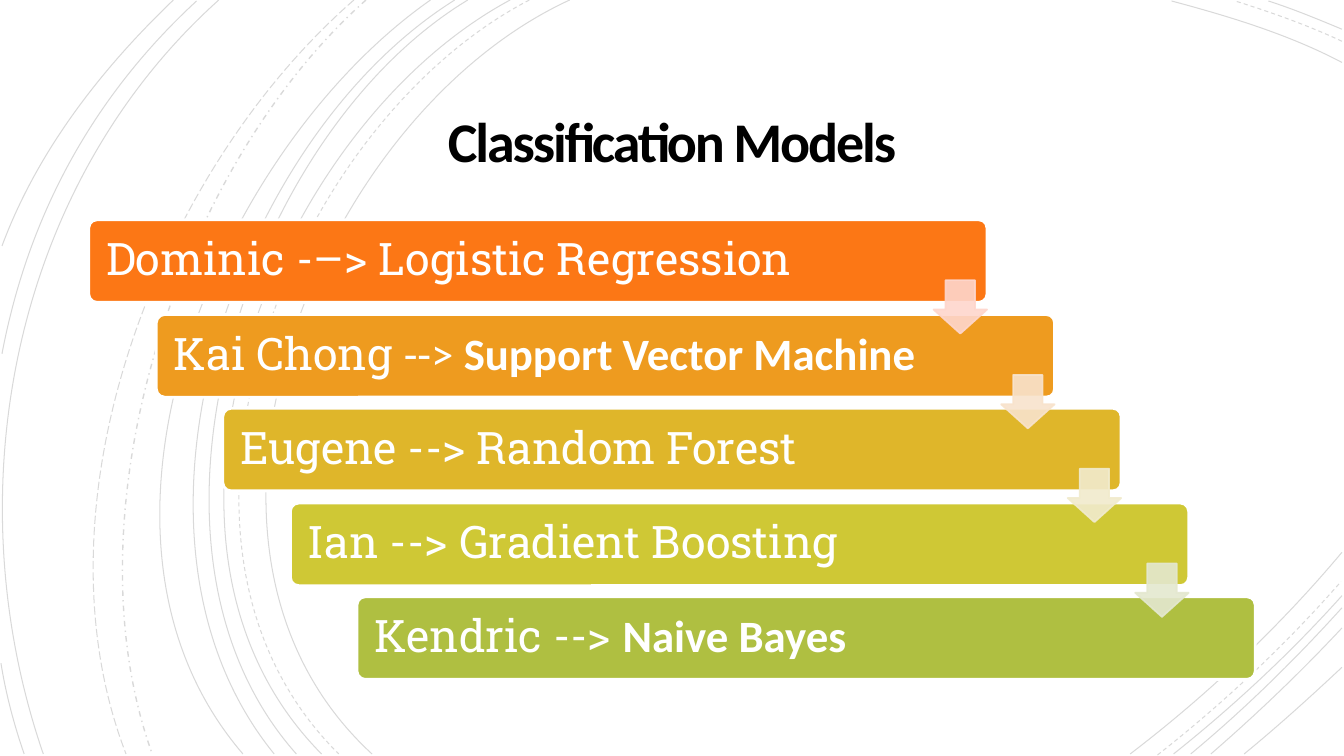
from dataclasses import dataclass

from lxml.etree import SubElement
from pptx import Presentation
from pptx.dml.color import RGBColor
from pptx.enum.dml import MSO_LINE
from pptx.enum.shapes import MSO_SHAPE
from pptx.enum.text import MSO_ANCHOR, MSO_AUTO_SIZE, PP_ALIGN
from pptx.oxml.ns import qn
from pptx.util import Emu, Pt

PX = 9144  # 100 px to the inch
TITLE_ONLY = 5
BAR_LEFT, BAR_TOP, BAR_WIDTH, BAR_HEIGHT = 88, 218, 891, 82
ARROW_LEFT, ARROW_TOP, ARROW_SIZE = 926, 278, 53
HEAD, BODY = "Calibri", "Roboto Slab"


@dataclass
class Curve:
    """A cubic curve: start, two control points and end, as x, y pairs."""
    points: list[tuple[int, int]]
    dash: MSO_LINE = MSO_LINE.SOLID
    weight: float = 0.75


@dataclass
class Span:
    text: str
    font: str = BODY
    bold: bool = False


@dataclass
class Step:
    spans: list[Span]
    color: str
    arrow_color: str | None = None


CURVES = [
    Curve([(565, 0), (315, 115), (143, 540), (369, 748)]),
    Curve([(1331, 62), (1278, 34), (1218, 16), (1162, 1)]),
    Curve([(1121, 748), (1197, 690), (1269, 622), (1331, 548)]),
    Curve([(525, 0), (285, 125), (123, 537), (336, 748)], MSO_LINE.DASH),
    Curve([(1331, 41), (1297, 25), (1260, 12), (1225, 1)], MSO_LINE.DASH),
    Curve([(1148, 749), (1213, 698), (1275, 640), (1330, 577)], MSO_LINE.DASH),
    Curve([(506, 0), (270, 127), (110, 537), (319, 748)]),
    Curve([(1331, 29), (1307, 19), (1283, 9), (1258, 1)]),
    Curve([(1164, 748), (1223, 701), (1280, 648), (1331, 591)]),
    Curve([(464, 0), (244, 133), (110, 541), (294, 748)]),
    Curve([(1181, 748), (1234, 704), (1284, 655), (1331, 603)]),
    Curve([(451, 0), (231, 138), (97, 533), (272, 748)]),
    Curve([(1201, 748), (1246, 709), (1290, 667), (1331, 623)]),
    Curve([(427, 0), (217, 147), (53, 529), (241, 748)]),
    Curve([(1234, 748), (1267, 721), (1299, 692), (1331, 662)]),
    Curve([(363, 0), (176, 166), (65, 509), (151, 748)], MSO_LINE.DASH_DOT, 1),
    Curve([(351, 0), (157, 169), (29, 499), (125, 748)], MSO_LINE.LONG_DASH),
    Curve([(217, 0), (11, 185), (-46, 490), (43, 748)]),
    Curve([(195, 1), (92, 96), (28, 214), (2, 351)]),
    Curve([(1, 658), (6, 689), (14, 719), (24, 748)]),
    Curve([(172, 0), (100, 69), (37, 150), (2, 244)]),
]

STEPS = [
    Step([Span("Dominic -–> Logistic Regression")], "FC7715", "FED6CC"),
    Step([Span("Kai Chong "), Span("--> ", HEAD),
          Span("Support Vector Machine", HEAD, True)], "EE9B1F", "F8E3CC"),
    Step([Span("Eugene --> Random Forest")], "DFB62A", "F1EBCD"),
    Step([Span("Ian --> Gradient Boosting")], "CFC835", "E4E8CF"),
    Step([Span("Kendric --> "), Span("Naive Bayes", HEAD, True)], "AFBF41"),
]


def px(*lengths: int) -> list[Emu]:
    return [Emu(length * PX) for length in lengths]


def rgb(color: str) -> RGBColor:
    return RGBColor.from_string(color)


def set_opacity(shape, percent: int) -> None:
    """Apply one opacity to every fill and line colour of the shape."""
    for color in list(shape._element.spPr.iter(qn("a:srgbClr"))):
        SubElement(color, qn("a:alpha"), val=str(percent * 1000))


def paint(shape, fill: str, line: str, weight: float) -> None:
    shape.shadow.inherit = False
    shape.fill.solid()
    shape.fill.fore_color.rgb = rgb(fill)
    shape.line.color.rgb = rgb(line)
    shape.line.width = Pt(weight)


def format_run(run, font: str, size: int, color: str, bold: bool) -> None:
    run.font.name = font
    run.font.size = Pt(size)
    run.font.color.rgb = rgb(color)
    run.font.bold = bold


def set_frame(frame, inset: int) -> None:
    frame.word_wrap = True
    frame.auto_size = MSO_AUTO_SIZE.NONE
    frame.vertical_anchor = MSO_ANCHOR.MIDDLE
    frame.margin_left = frame.margin_right = Emu(inset * PX)
    frame.margin_top = frame.margin_bottom = Emu(inset * PX)


def add_curve(shapes, curve: Curve) -> None:
    builder = shapes.build_freeform(*curve.points[0], scale=PX)
    builder.add_line_segments(curve.points[1:], close=False)
    shape = builder.convert_to_shape()
    # The three straight segments become the points of one cubic segment.
    outline = next(shape._element.iter(qn("a:path")))
    segments = outline.findall(qn("a:lnTo"))
    cubic = SubElement(outline, qn("a:cubicBezTo"))
    for segment in segments:
        cubic.append(segment[0])
        outline.remove(segment)
    shape.shadow.inherit = False
    shape.fill.background()
    shape.line.color.rgb = rgb("000000")
    shape.line.width = Pt(curve.weight)
    shape.line.dash_style = curve.dash
    set_opacity(shape, 15)


def add_title(slide) -> None:
    title = slide.shapes.title
    title.left, title.top, title.width, title.height = px(192, 87, 949, 115)
    title._element.getparent().append(title._element)  # in front of the curves
    set_frame(title.text_frame, 25)
    para = title.text_frame.paragraphs[0]
    para.text = "Classification Models"
    para.alignment = PP_ALIGN.CENTER
    para.line_spacing = 0.85
    format_run(para.runs[0], HEAD, 40, "000000", True)
    para.runs[0].font._element.set("spc", "-150")


def stair(index: int) -> tuple[int, int]:
    """Offset of a step from the first one."""
    return (133 * index + 1) // 2, round(93.6 * index)


def add_bar(shapes, step: Step, index: int) -> None:
    right, down = stair(index)
    bar = shapes.add_shape(MSO_SHAPE.ROUNDED_RECTANGLE, *px(
        BAR_LEFT + right, BAR_TOP + down, BAR_WIDTH, BAR_HEIGHT))
    bar.adjustments[0] = 0.1
    paint(bar, step.color, "FFFFFF", 2)
    set_frame(bar.text_frame, 15)
    para = bar.text_frame.paragraphs[0]
    para.alignment = PP_ALIGN.LEFT
    para.line_spacing = 0.9
    for span in step.spans:
        run = para.add_run()
        run.text = span.text
        format_run(run, span.font, 32, "FFFFFF", span.bold)


def add_arrow(shapes, color: str, index: int) -> None:
    right, down = stair(index)
    arrow = shapes.add_shape(MSO_SHAPE.DOWN_ARROW, *px(
        ARROW_LEFT + right, ARROW_TOP + down, ARROW_SIZE, ARROW_SIZE))
    arrow.adjustments[0] = 0.55
    arrow.adjustments[1] = 0.45
    paint(arrow, color, color, 1.25)
    set_opacity(arrow, 90)


def main() -> None:
    deck = Presentation()
    deck.slide_width, deck.slide_height = px(1333, 750)
    slide = deck.slides.add_slide(deck.slide_layouts[TITLE_ONLY])
    backdrop = slide.shapes.add_group_shape()
    for curve in CURVES:
        add_curve(backdrop.shapes, curve)
    add_title(slide)
    for index, step in enumerate(STEPS):
        add_bar(slide.shapes, step, index)
    for index, step in enumerate(STEPS):
        if step.arrow_color:
            add_arrow(slide.shapes, step.arrow_color, index)
    deck.save("out.pptx")


if __name__ == "__main__":
    main()
